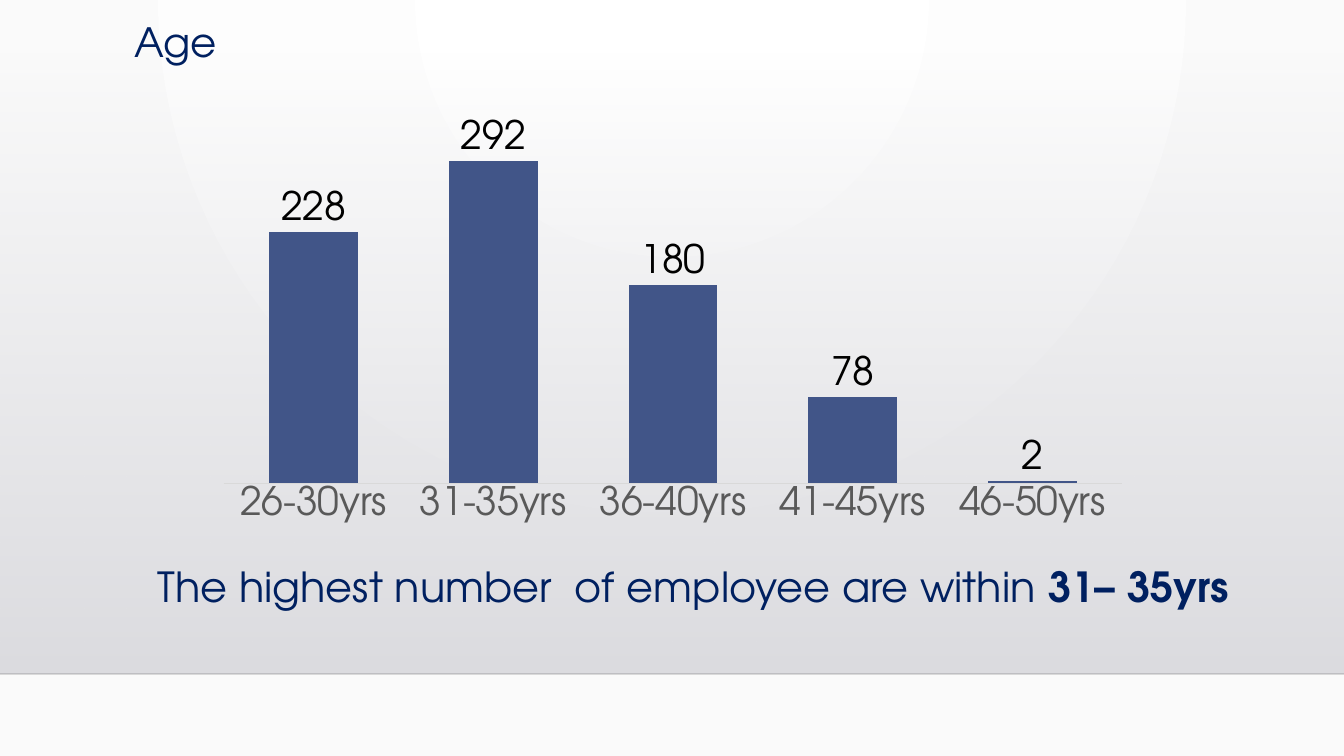
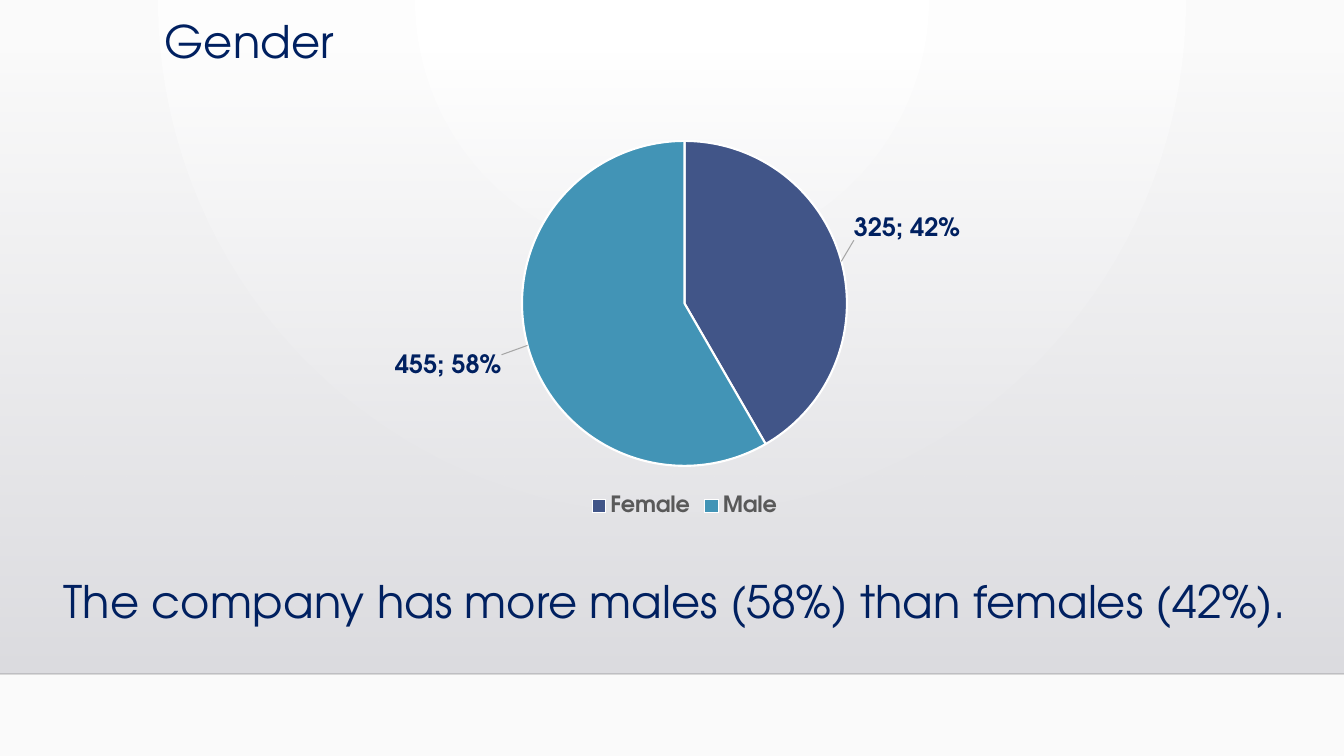
from pptx import Presentation
from pptx.chart.data import CategoryChartData
from pptx.dml.color import RGBColor
from pptx.enum.chart import XL_CHART_TYPE, XL_LABEL_POSITION, XL_LEGEND_POSITION, XL_TICK_MARK
from pptx.enum.shapes import MSO_CONNECTOR, MSO_SHAPE
from pptx.enum.text import MSO_ANCHOR
from pptx.oxml import parse_xml
from pptx.oxml.ns import nsdecls
from pptx.util import Pt

COLUMN, PIE = XL_CHART_TYPE.COLUMN_CLUSTERED, XL_CHART_TYPE.PIE
OUTER, BOTTOM = XL_LABEL_POSITION.OUTSIDE_END, XL_LEGEND_POSITION.BOTTOM
NO_TICK = XL_TICK_MARK.NONE
LINE, RECT = MSO_CONNECTOR.STRAIGHT, MSO_SHAPE.RECTANGLE
TOP, MIDDLE = MSO_ANCHOR.TOP, MSO_ANCHOR.MIDDLE

SCALE = 914400 / 100.8  # EMU in one px
WIDE, HIGH = 1344, 756


class Theme:
    font = "TeX Gyre Adventor"
    navy, black, gray, white = "002060", "000000", "595959", "FFFFFF"
    blue, teal = "415588", "4294B6"
    axis, lead, rule = "D9D9D9", "A6A6A6", "000001"
    glow = [(0, "FFFFFF", 100), (100, "FAFAFA", 100)]
    band = [(0, "DCDCE0", 0), (100, "DEDEE2", 100)]
    base, key, mark, axis_size = 10, 16, 18, 28
    head, note, large = 28.8, 29.6, 32


def px(*sizes):
    return [round(n * SCALE) for n in sizes]


def rgb(code):
    return RGBColor.from_string(code)


def style(font, size, color, bold=False):
    font.name, font.size, font.bold = Theme.font, Pt(size), bold
    font.color.rgb = rgb(color)


def blend(fill, owner, stops, shade):
    """Give the owner a gradient with its own stops and direction."""
    fill.gradient()
    old = owner.xpath(".//a:gradFill")[0]
    marks = "".join(
        f'<a:gs pos="{at * 1000}"><a:srgbClr val="{code}">'
        f'<a:alpha val="{alpha * 1000}"/></a:srgbClr></a:gs>'
        for at, code, alpha in stops)
    new = parse_xml(f'<a:gradFill {nsdecls("a")} rotWithShape="1">'
                    f"<a:gsLst>{marks}</a:gsLst>{shade}</a:gradFill>")
    old.getparent().replace(old, new)


class Deck:
    def __init__(self):
        self.deck = Presentation()
        self.deck.slide_width, self.deck.slide_height = px(WIDE, HIGH)
        self.slide = None
        # Shared backdrop
        root = self.deck.slide_master
        blend(root.background.fill, root._element.cSld, Theme.glow,
              '<a:path path="circle"><a:fillToRect l="43000" t="0" r="43000" b="100000"/></a:path>')

    def add(self):
        """Start a slide with the shaded band and its lower edge."""
        self.slide = self.deck.slides.add_slide(self.deck.slide_layouts[6])
        top, base = 51, 674
        band = self.slide.shapes.add_shape(RECT, *px(0, top, WIDE, base - top))
        band.shadow.inherit = False
        band.line.fill.background()
        blend(band.fill, band._element.spPr, Theme.band, '<a:lin ang="5400000" scaled="0"/>')
        edge = self.slide.shapes.add_connector(LINE, *px(0, base, WIDE, base))
        edge.line.width = Pt(1)
        edge.line.color.rgb = rgb(Theme.rule)
        tint = edge._element.spPr.xpath(".//a:srgbClr")[0]
        tint.append(parse_xml(f'<a:alpha {nsdecls("a")} val="20000"/>'))
        edge._element.spPr.append(parse_xml(f'<a:effectLst {nsdecls("a")}/>'))

    def text(self, box, runs, size, anchor=TOP, space=0.9):
        frame = self.slide.shapes.add_textbox(*px(*box)).text_frame
        frame.word_wrap = True
        frame.vertical_anchor = anchor
        para = frame.paragraphs[0]
        para.line_spacing = space
        for words, bold in runs:
            run = para.add_run()
            run.text = words
            style(run.font, size, Theme.navy, bold)

    def title(self, box, words, size):
        self.text(box, [(words, False)], size, MIDDLE)

    def chart(self, kind, box, cats, vals):
        data = CategoryChartData(number_format="0")
        data.categories = cats
        data.add_series("Series 1", vals)
        chart = self.slide.shapes.add_chart(kind, *px(*box), data).chart
        chart.has_title = chart.has_legend = False
        style(chart.font, Theme.base, Theme.black)
        return chart

    def bars(self, box, cats, vals, peak):
        chart = self.chart(COLUMN, box, cats, vals)
        plot = chart.plots[0]
        plot.gap_width, plot.overlap, plot.vary_by_categories = 103, -27, False
        fill = plot.series[0].format.fill
        fill.solid()
        fill.fore_color.rgb = rgb(Theme.blue)
        # Axes
        cat, val = chart.category_axis, chart.value_axis
        cat.major_tick_mark = cat.minor_tick_mark = NO_TICK
        style(cat.tick_labels.font, Theme.axis_size, Theme.gray)
        cat.format.line.color.rgb = rgb(Theme.axis)
        cat.format.line.width = Pt(0.75)
        val.minimum_scale, val.maximum_scale = 0, peak
        val.has_major_gridlines = val.visible = False
        # Values
        plot.has_data_labels = True
        labels = plot.data_labels
        labels.show_value, labels.position = True, OUTER
        labels.number_format, labels.number_format_is_linked = "0", False
        style(labels.font, Theme.axis_size, Theme.black)

    def place(self, x, y, more=""):
        return parse_xml(f'<c:layout {nsdecls("c")}><c:manualLayout>{more}'
                         f'<c:x val="{x}"/><c:y val="{y}"/></c:manualLayout></c:layout>')

    def pie(self, box, cats, vals, colors, shifts):
        chart = self.chart(PIE, box, cats, vals)
        plot = chart.plots[0]
        plot.vary_by_categories = True
        # Legend
        chart.has_legend = True
        chart.legend.position = BOTTOM
        chart.legend.include_in_layout = False
        style(chart.legend.font, Theme.key, Theme.gray, True)
        # Plot area
        area = chart._chartSpace.xpath(".//c:plotArea")[0]
        for old in area.xpath("c:layout"):
            area.remove(old)
        spot = self.place(0.26, 0.03, '<c:layoutTarget val="inner"/>'
                          '<c:xMode val="edge"/><c:yMode val="edge"/>')
        for tag, part in (("w", 0.48), ("h", 0.83)):
            spot[0].append(parse_xml(f'<c:{tag} {nsdecls("c")} val="{part}"/>'))
        area.insert(0, spot)
        # Slices and their labels
        series = plot.series[0]
        for i, (color, shift) in enumerate(zip(colors, shifts)):
            point = series.points[i]
            point.format.fill.solid()
            point.format.fill.fore_color.rgb = rgb(color)
            point.format.line.color.rgb = rgb(Theme.white)
            point.format.line.width = Pt(1.5)
            point.data_label.position = OUTER
            style(point.data_label.font, Theme.mark, Theme.navy, True)
            label = series._element.xpath(f".//c:dLbl[c:idx/@val='{i}']")[0]
            label.insert(1, self.place(*shift))
            label.xpath("c:showPercent")[0].set("val", "1")
            label.append(parse_xml(f'<c:separator {nsdecls("c")}>; </c:separator>'))
        # Leader lines
        flag = series._element.xpath("c:dLbls/c:showLeaderLines")[0]
        flag.set("val", "1")
        flag.addnext(parse_xml(
            f'<c:leaderLines {nsdecls("c", "a")}><c:spPr><a:ln w="9525"><a:solidFill>'
            f'<a:srgbClr val="{Theme.lead}"/></a:solidFill></a:ln></c:spPr></c:leaderLines>'))


def main():
    deck = Deck()

    # Age
    deck.add()
    deck.title((125, 18, 1058, 52), "Age", Theme.head)
    deck.text((148, 562, 1155, 94),
              [("The highest number  of employee are within ", False), ("31– 35yrs", True)],
              Theme.note)
    deck.bars((205, 88, 936, 444),
              ["26-30yrs", "31-35yrs", "36-40yrs", "41-45yrs", "46-50yrs"],
              [228, 292, 180, 78, 2], 350)

    # Gender
    deck.add()
    deck.title((155, 14, 1046, 60), "Gender", Theme.large)
    deck.pie((346, 129, 677, 392), ["Female", "Male"], [325, 455],
             [Theme.blue, Theme.teal], [(0.01, -0.05), (-0.03, 0.02)])
    deck.text((54, 569, 1268, 65),
              [("The company has more males (58%) than females (42%).", False)],
              Theme.large, space=1.0)

    deck.deck.save("out.pptx")


if __name__ == "__main__":
    main()
